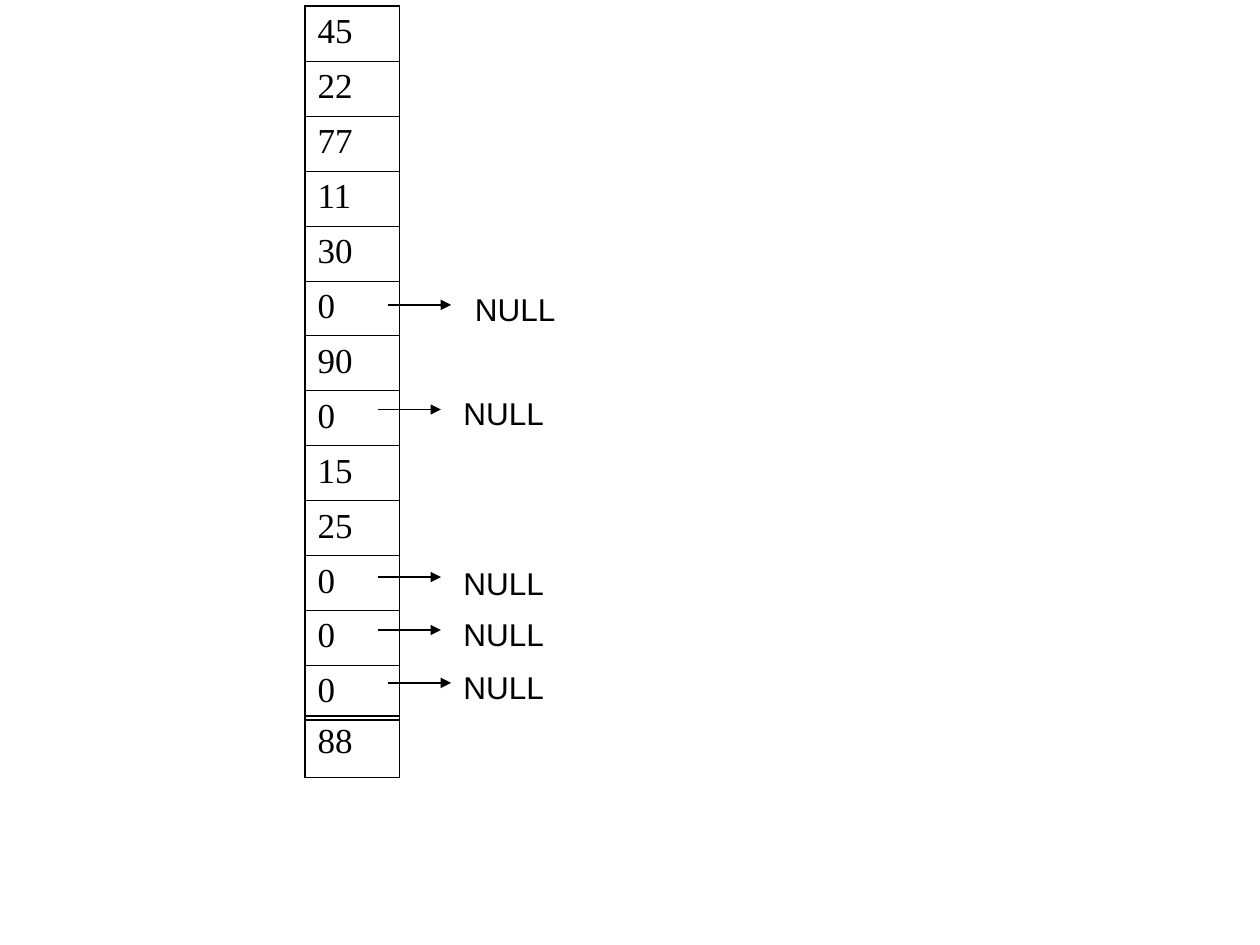
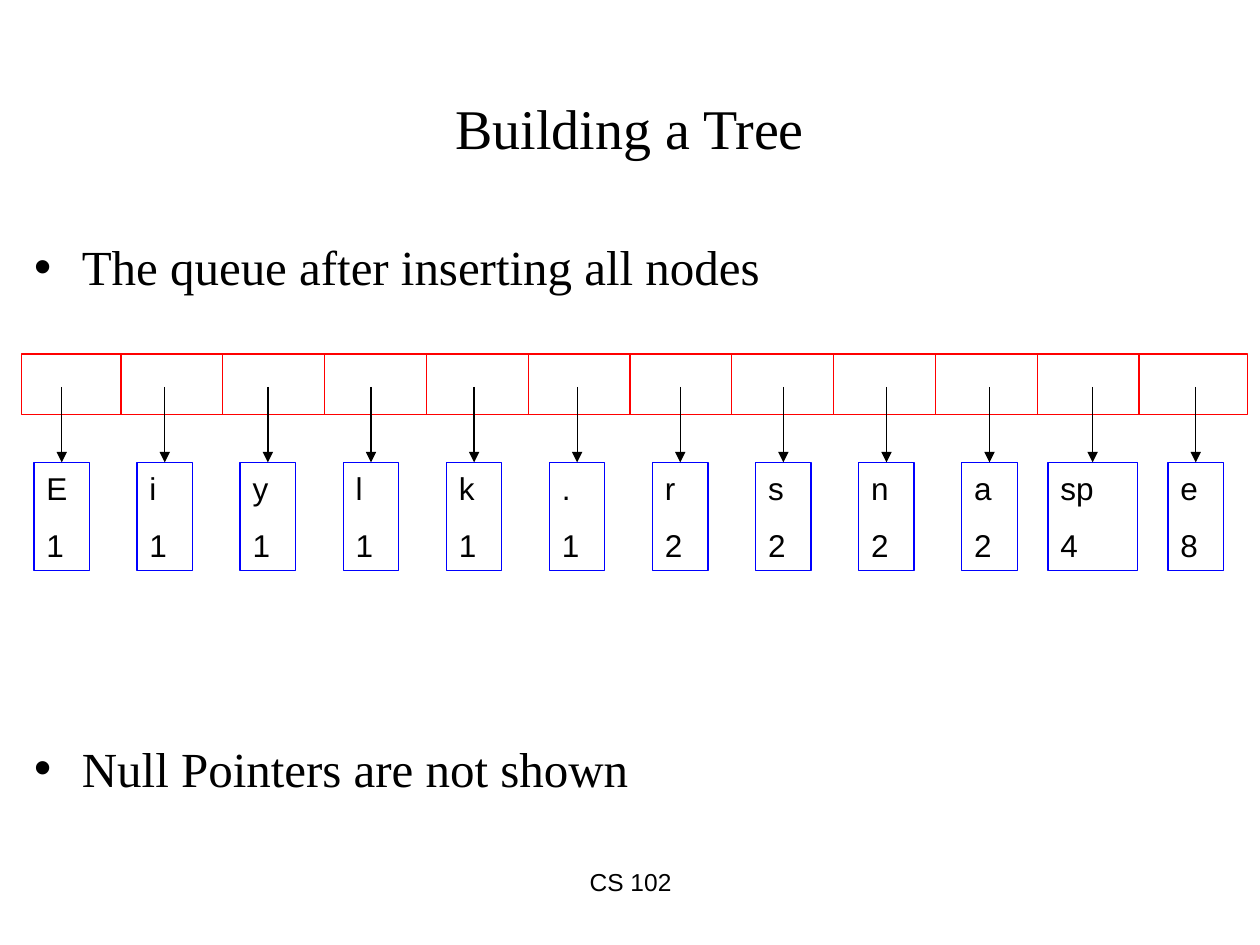
"""Build two slides on a node array and the priority queue of a Huffman tree."""
from dataclasses import dataclass

from lxml import etree
from pptx import Presentation
from pptx.dml.color import RGBColor
from pptx.enum import shapes, text
from pptx.oxml import ns
from pptx.util import Emu, Inches, Pt

COLOURS = {"ink": "000000", "paper": "FFFFFF", "queue": "FF0000", "node": "0000FF"}
SERIF, SANS = "Times New Roman", "Arial"
THIN, HAIR, EDGE = Pt(0.75), Pt(0.45), Pt(1.08)


@dataclass(frozen=True)
class NullPointer:
    """An arrow leaving an array cell and its label, in inches."""

    start: float
    y: float
    label_left: float
    label_top: float


@dataclass(frozen=True)
class Node:
    """A character with its frequency, in a box of given width in inches."""

    character: str
    frequency: int
    width: float = 0.44


NULL_POINTERS = [
    NullPointer(3.08, 2.42, 3.67, 2.25),
    NullPointer(3, 3.25, 3.58, 3.08),
    NullPointer(3, 4.58, 3.58, 4.43),
    NullPointer(3, 5, 3.58, 4.83),
    NullPointer(3.08, 5.42, 3.58, 5.25),
]
ARRAY_VALUES = [45, 22, 77, 11, 30, 0, 90, 0, 15, 25, 0, 0, 0]
NODES = [
    Node("E", 1), Node("i", 1), Node("y", 1), Node("l", 1),
    Node("k", 1), Node(".", 1), Node("r", 2), Node("s", 2),
    Node("n", 2), Node("a", 2), Node("sp", 4, 0.71), Node("e", 8),
]


def colour(name: str) -> RGBColor:
    """Look up a palette colour."""
    return RGBColor.from_string(COLOURS[name])


def format_paragraph(paragraph, font: str, size: float, before: float = 0,
                     align=text.PP_ALIGN.LEFT) -> None:
    """Set spacing, alignment and the font of every run."""
    paragraph.alignment = align
    paragraph.space_before = Pt(before)
    for run in paragraph.runs:
        run.font.name = font
        run.font.size = Pt(size)
        run.font.color.rgb = colour("ink")


def place(shape, left: float, top: float, width: float, height: float) -> None:
    """Move and size a shape, in inches."""
    shape.left, shape.top = Inches(left), Inches(top)
    shape.width, shape.height = Inches(width), Inches(height)


def add_line(slide, start: tuple[float, float], end: tuple[float, float],
             ink: str = "ink", arrow: bool = False):
    """Draw a thin straight line, with an arrowhead at its end if asked."""
    line = slide.shapes.add_connector(
        shapes.MSO_CONNECTOR.STRAIGHT, *map(Inches, start + end))
    line.line.color.rgb = colour(ink)
    line.line.width = THIN
    if arrow:
        etree.SubElement(line.line._get_or_add_ln(), ns.qn("a:tailEnd"), type="triangle")
    etree.SubElement(line._element.spPr, ns.qn("a:effectLst"))
    return line


def add_label(slide, caption: str, left: float, top: float, width: float, height: float,
              size: float, align=text.PP_ALIGN.LEFT) -> None:
    """Add a sans-serif text box."""
    label = slide.shapes.add_textbox(*map(Inches, (left, top, width, height)))
    label.text_frame.word_wrap = True
    label.text_frame.text = caption
    format_paragraph(label.text_frame.paragraphs[0], SANS, size, align=align)


def add_rectangle(slide, left: float, top: float, width: float, height: float,
                  outline: str):
    """Add an unfilled rectangle with a thin outline."""
    box = slide.shapes.add_shape(
        shapes.MSO_SHAPE.RECTANGLE, *map(Inches, (left, top, width, height)))
    box.shadow.inherit = False
    box.fill.background()
    box.line.color.rgb = colour(outline)
    box.line.width = THIN
    return box


def set_borders(cell, top: Emu, bottom: Emu) -> None:
    """Draw the four borders of a cell, its sides being full edges."""
    properties = cell._tc.get_or_add_tcPr()
    for side, width in (("L", EDGE), ("R", EDGE), ("T", top), ("B", bottom)):
        border = etree.SubElement(properties, ns.qn(f"a:ln{side}"), w=str(int(width)))
        fill = etree.SubElement(border, ns.qn("a:solidFill"))
        etree.SubElement(fill, ns.qn("a:srgbClr"), val=COLOURS["ink"])


def add_array(slide, values: list[int], top: float, height: float) -> None:
    """Add a one-column table of array values."""
    table = slide.shapes.add_table(
        len(values), 1, Inches(2.42), Inches(top), Inches(0.75), Inches(height)).table
    table.first_row = table.horz_banding = False
    last = len(values) - 1
    for row, value in enumerate(values):
        cell = table.cell(row, 0)
        cell.text_frame.text = str(value)
        format_paragraph(cell.text_frame.paragraphs[0], SERIF, 20)
        set_borders(cell, EDGE if row == 0 else HAIR, EDGE if row == last else HAIR)
        cell.fill.background()


def add_node(slide, node: Node, centre: float) -> None:
    """Add a node box and the arrow that points to it from the queue."""
    box = add_rectangle(slide, centre - node.width / 2, 3.67, node.width, 0.86, "node")
    frame = box.text_frame
    frame.word_wrap = True
    frame.vertical_anchor = text.MSO_ANCHOR.TOP
    frame.text = f"{node.character}\n{node.frequency}"
    for paragraph, before in zip(frame.paragraphs, (0, 11.2)):
        format_paragraph(paragraph, SANS, 18, before)
    add_line(slide, (centre, 3.07), (centre, 3.67), arrow=True).end_connect(box, 0)


def add_queue(slide) -> None:
    """Draw the queue strip, its dividers and the nodes below it."""
    top, height = 2.81, 0.48
    strip = add_rectangle(slide, 0.17, top, 9.73, height, "queue")
    strip.fill.solid()
    strip.fill.fore_color.rgb = colour("paper")
    dividers = len(NODES) - 1
    for index in range(dividers):
        x = 0.96 + 8.08 * index / (dividers - 1)
        add_line(slide, (x, top), (x, top + height), "queue")
    for index, node in enumerate(NODES):
        add_node(slide, node, 0.49 + 9 * index / dividers)


def set_bullet(paragraph) -> None:
    """Give a paragraph a hanging round bullet."""
    properties = paragraph._p.get_or_add_pPr()
    properties.set("marL", str(Inches(0.38)))
    properties.set("indent", str(-Inches(0.38)))
    etree.SubElement(properties, ns.qn("a:buChar"), char="•")


def build_array_slide(deck) -> None:
    """Show the array, with null pointers where a cell is zero."""
    slide = deck.slides.add_slide(deck.slide_layouts[6])
    add_array(slide, ARRAY_VALUES, 0.05, 5.67)
    for pointer in NULL_POINTERS:
        add_line(slide, (pointer.start, pointer.y), (pointer.start + 0.5, pointer.y),
                 arrow=True)
        add_label(slide, "NULL", pointer.label_left, pointer.label_top, 0.92, 0.4, 18)
    add_array(slide, [88], 5.68, 0.49)


def build_queue_slide(deck) -> None:
    """Show the queue with all nodes inserted."""
    slide = deck.slides.add_slide(deck.slide_layouts[1])
    title, body = slide.placeholders
    place(title, 0.5, 0.42, 9, 1.17)
    title.text_frame.text = "Building a Tree"
    title.text_frame.vertical_anchor = text.MSO_ANCHOR.MIDDLE
    format_paragraph(title.text_frame.paragraphs[0], SERIF, 32,
                     align=text.PP_ALIGN.CENTER)

    place(body, 0.17, 1.79, 9.83, 4.5)
    frame = body.text_frame
    frame.auto_size = text.MSO_AUTO_SIZE.NONE
    frame.margin_top = Inches(0.09)
    frame.text = "The queue after inserting all nodes\nNull Pointers are not shown"
    for paragraph, before in zip(frame.paragraphs, (0, 253)):
        set_bullet(paragraph)
        format_paragraph(paragraph, SERIF, 28, before)

    add_label(slide, "CS 102", 3.42, 6.83, 3.17, 0.52, 14, text.PP_ALIGN.CENTER)
    add_queue(slide)


def main() -> None:
    """Build and save the deck."""
    deck = Presentation()
    deck.slide_width, deck.slide_height = Inches(10), Inches(7.5)
    build_array_slide(deck)
    build_queue_slide(deck)
    deck.save("out.pptx")


if __name__ == "__main__":
    main()
